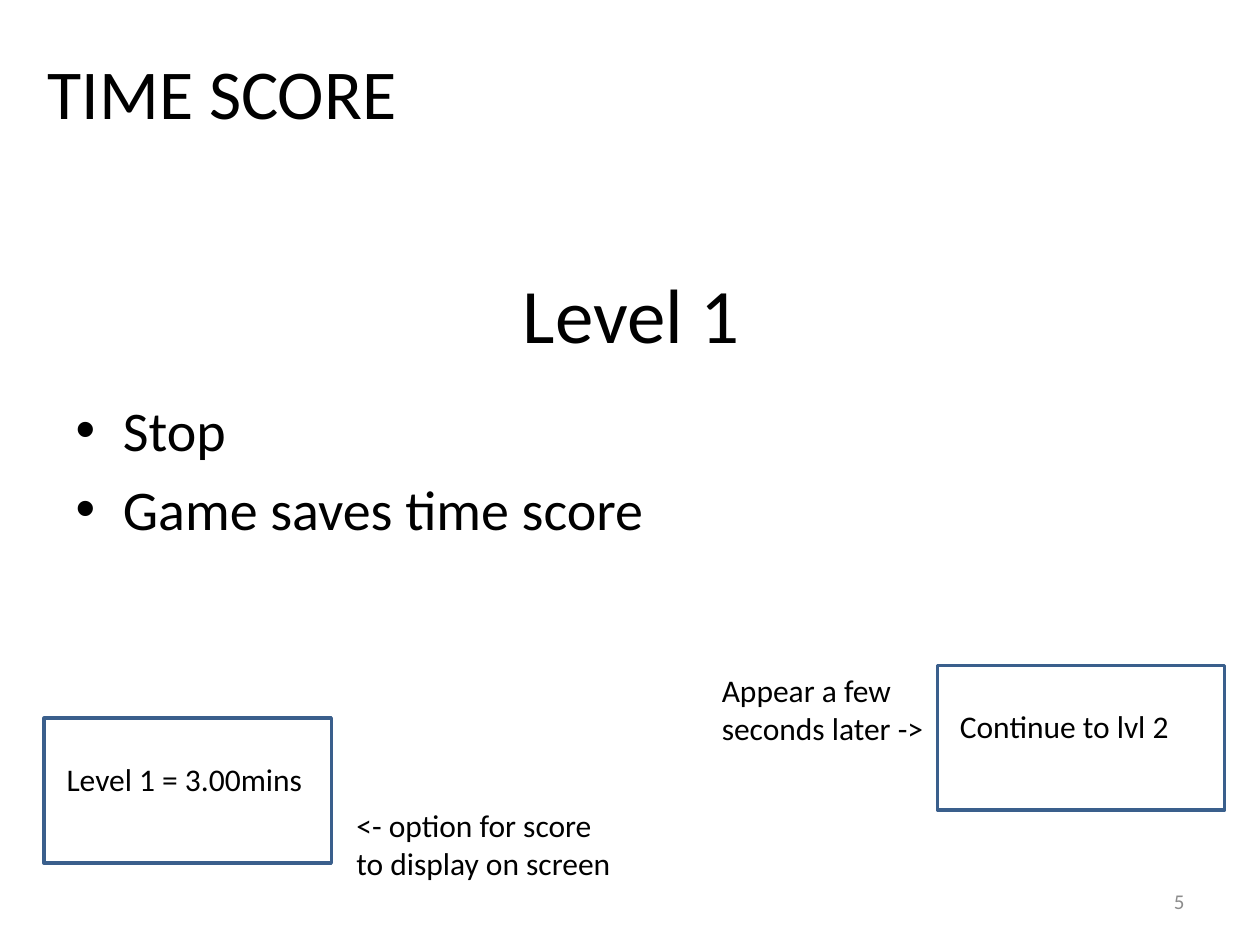
from pptx import Presentation
from pptx.dml.color import RGBColor
from pptx.enum.shapes import MSO_SHAPE
from pptx.enum.text import MSO_ANCHOR, PP_ALIGN
from pptx.util import Inches, Pt

COLORS = {"text": "000000", "panel": "FFFFFF", "border": "3A5F8C", "number": "8C8C8C"}
FONT = "Calibri"


def style_text(frame, size, color="text", align=PP_ALIGN.LEFT):
    """Format every paragraph of a text frame alike."""
    for paragraph in frame.paragraphs:
        paragraph.alignment = align
        paragraph.font.name = FONT
        paragraph.font.size = Pt(size)
        paragraph.font.color.rgb = RGBColor.from_string(COLORS[color])


def place(shape, left, top, width, height):
    """Move a placeholder to a box given in inches."""
    shape.left, shape.top = Inches(left), Inches(top)
    shape.width, shape.height = Inches(width), Inches(height)


def add_label(slide, text, left, top, width, height, size=18, color="text",
              align=PP_ALIGN.LEFT, anchor=MSO_ANCHOR.TOP):
    """Add a wrapping text box."""
    frame = slide.shapes.add_textbox(
        Inches(left), Inches(top), Inches(width), Inches(height)).text_frame
    frame.word_wrap = True
    frame.vertical_anchor = anchor
    frame.text = text
    style_text(frame, size, color, align)


def add_title(slide, text, left, top, width, height):
    """Fill the title placeholder with the level name."""
    title = slide.shapes.title
    place(title, left, top, width, height)
    title.text_frame.text = text
    title.text_frame.vertical_anchor = MSO_ANCHOR.MIDDLE
    style_text(title.text_frame, 44, align=PP_ALIGN.CENTER)


def add_steps(slide, steps, left, top, width, height):
    """Fill the body placeholder with the bulleted steps."""
    body = slide.placeholders[1]
    place(body, left, top, width, height)
    body.text_frame.text = "\n".join(steps)
    style_text(body.text_frame, 32)


def add_screen_box(slide, text, left, top, width=2.28, height=1.15):
    """Draw an outlined game screen box with its message."""
    panel = slide.shapes.add_shape(
        MSO_SHAPE.RECTANGLE, Inches(left), Inches(top), Inches(width), Inches(height))
    panel.shadow.inherit = False
    panel.fill.solid()
    panel.fill.fore_color.rgb = RGBColor.from_string(COLORS["panel"])
    panel.line.color.rgb = RGBColor.from_string(COLORS["border"])
    panel.line.width = Pt(2)
    add_label(slide, text, left + 0.08, top + 0.28, width - 0.15, 0.4)


def main():
    """Build the time score slide."""
    deck = Presentation()
    deck.slide_width, deck.slide_height = Inches(10), Inches(7.5)
    slide = deck.slides.add_slide(deck.slide_layouts[1])

    add_title(slide, "Level 1", 0.51, 1.86, 9, 1.25)
    add_steps(slide, ["Stop", "Game saves time score"], 0.5, 3.09, 9, 3.58)
    add_label(slide, "TIME SCORE", 0.28, 0.34, 3.39, 0.77, size=40)
    add_screen_box(slide, "Continue to lvl 2", 7.44, 5.28)
    add_label(slide, "Appear a few seconds later ->", 5.63, 5.28, 1.81, 0.71)
    add_screen_box(slide, "Level 1 = 3.00mins", 0.35, 5.7)
    add_label(slide, "<- option for score to display on screen", 2.73, 6.35, 2.28, 0.71)
    add_label(slide, "5", 7.17, 6.95, 2.33, 0.4, size=12, color="number",
              align=PP_ALIGN.RIGHT, anchor=MSO_ANCHOR.MIDDLE)

    deck.save("out.pptx")


if __name__ == "__main__":
    main()
